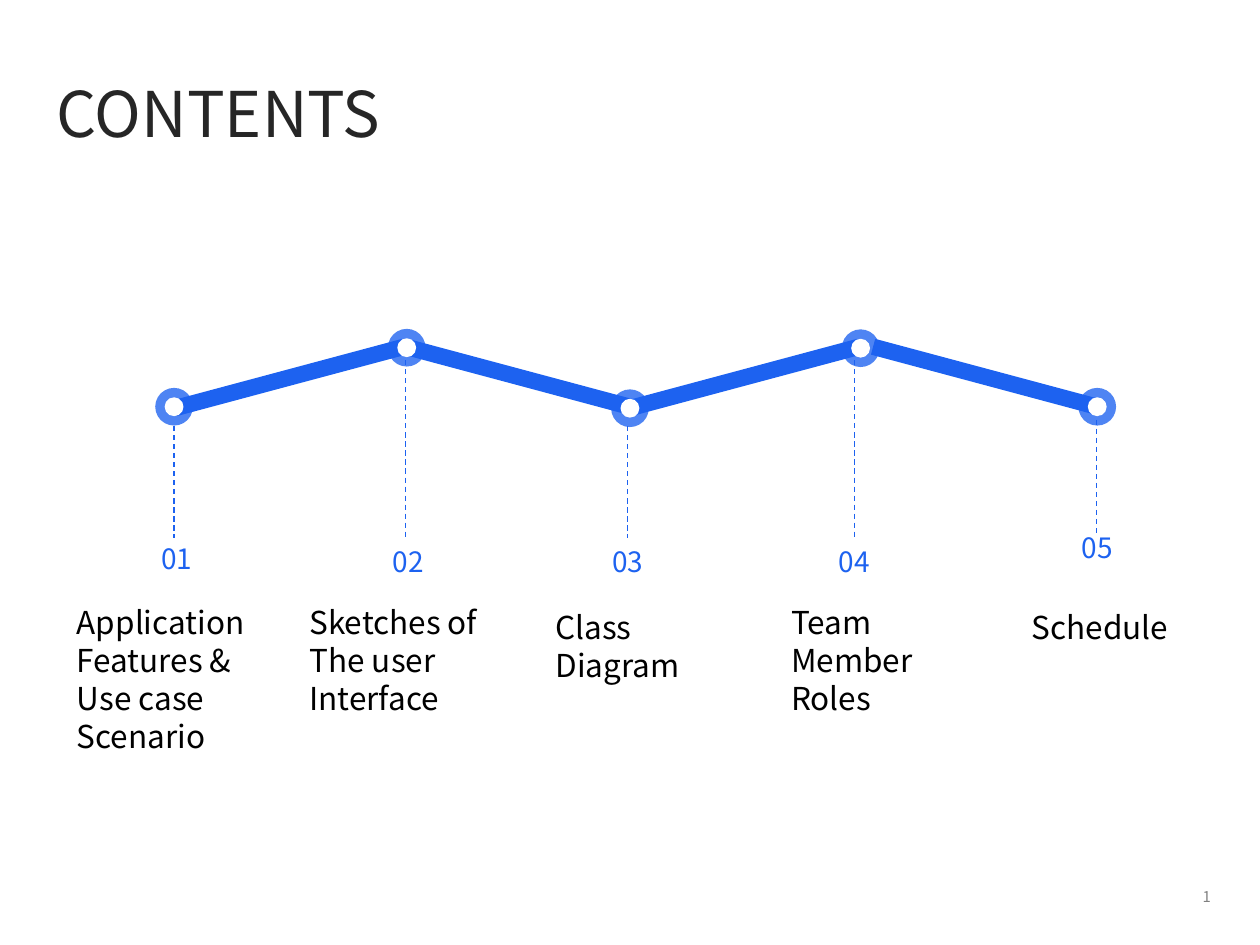
from pptx import Presentation
from pptx.dml.color import RGBColor
from pptx.enum.dml import MSO_LINE
from pptx.enum.shapes import MSO_CONNECTOR, MSO_SHAPE
from pptx.enum.text import MSO_ANCHOR, MSO_AUTO_SIZE, PP_ALIGN
from pptx.oxml.ns import qn
from pptx.util import Cm, Pt
from lxml import etree

RECT, OVAL = MSO_SHAPE.RECTANGLE, MSO_SHAPE.OVAL
STRAIGHT, DASH = MSO_CONNECTOR.STRAIGHT, MSO_LINE.DASH
TOP, MIDDLE = MSO_ANCHOR.TOP, MSO_ANCHOR.MIDDLE
LEFT, RIGHT = PP_ALIGN.LEFT, PP_ALIGN.RIGHT
NO_FIT = MSO_AUTO_SIZE.NONE

FONT = "Noto Sans CJK KR"
COLORS = {
    "blue": "1D62F0",
    "white": "FFFFFF",
    "title": "262626",
    "label": "000000",
    "page": "808080",
}
LINE_HEIGHT = 1.2
BAR_W, BAR_H, BAR_Y, BAR_TILT = 4.78, 0.33, 7.61, 15
RING, DOT, RING_ALPHA = 0.76, 0.38, 78
BAR_CENTERS = [5.84, 10.49, 15.01, 19.91]
NODES = [(3.51, 8.2), (8.2, 7.01), (12.7, 8.23), (17.35, 7.02), (22.12, 8.2)]
STEMS = [
    (3.51, 8.59, 10.85),
    (8.18, 7.26, 10.85),
    (12.65, 8.59, 10.85),
    (17.22, 7.26, 10.85),
    (22.1, 8.46, 10.74),
]
NUMBERS = [(3, 10.8), (7.67, 10.85), (12.09, 10.85), (16.66, 10.85), (21.56, 10.57)]
LABELS = [
    ((1.3, 12.04, 4.19, 3.33), ["Application", "Features &", "Use case", "Scenario"]),
    ((5.99, 12.04, 5.21, 2.57), ["Sketches of", "The user Interface"]),
    ((10.95, 12.14, 3.5, 1.8), ["Class", "Diagram"]),
    ((15.7, 12.04, 3.76, 2.57), ["Team", "Member", "Roles"]),
    ((20.55, 12.14, 3.4, 1.02), ["Schedule"]),
]


def rgb(name):
    return RGBColor.from_string(COLORS[name])


def set_text(sp, lines, size, color, align=LEFT, anchor=TOP):
    tf = sp.text_frame
    frame_format = {"word_wrap": True, "auto_size": NO_FIT, "vertical_anchor": anchor}
    for name, value in frame_format.items():
        setattr(tf, name, value)
    paragraph_format = {
        "alignment": align,
        "line_spacing": Pt(size * LINE_HEIGHT),
        "space_before": Pt(0),
    }
    for i, line in enumerate(lines):
        p = tf.add_paragraph() if i else tf.paragraphs[0]
        for name, value in paragraph_format.items():
            setattr(p, name, value)
        r = p.add_run()
        r.text = line
        for name, value in {"name": FONT, "size": Pt(size)}.items():
            setattr(r.font, name, value)
        r.font.color.rgb = rgb(color)


def add_title(s, box, text):
    sp = s.shapes.title
    for name, value in zip(("left", "top", "width", "height"), box):
        setattr(sp, name, Cm(value))
    set_text(sp, [text], 36, "title")


def add_text(s, box, lines, size, color, **layout):
    sp = s.shapes.add_textbox(*map(Cm, box))
    set_text(sp, lines, size, color, **layout)


def add_centered(s, kind, center, size, color, rotation=0, alpha=None):
    (x, y), (w, h) = center, size
    sp = s.shapes.add_shape(kind, Cm(x - w / 2), Cm(y - h / 2), Cm(w), Cm(h))
    sp.rotation = rotation
    sp.shadow.inherit = False
    sp.fill.solid()
    sp.fill.fore_color.rgb = rgb(color)
    sp.line.fill.background()
    if alpha is not None:
        clr = sp.fill._xPr.find(qn("a:solidFill"))[0]
        etree.SubElement(clr, qn("a:alpha")).set("val", str(alpha * 1000))


def add_stem(s, x, top, bottom):
    line = s.shapes.add_connector(STRAIGHT, Cm(x), Cm(top), Cm(x), Cm(bottom))
    line.line.color.rgb = rgb("blue")
    for name, value in {"width": Pt(0.75), "dash_style": DASH}.items():
        setattr(line.line, name, value)
    etree.SubElement(line._element.spPr, qn("a:effectLst"))


def main():
    prs = Presentation()
    prs.slide_width, prs.slide_height = Cm(25.4), Cm(19.05)
    s = prs.slides.add_slide(prs.slide_layouts[5])
    add_title(s, (0.89, 1.37, 19.2, 1.8), "CONTENTS")
    for i, x in enumerate(BAR_CENTERS):
        tilt = BAR_TILT if i % 2 else 360 - BAR_TILT
        add_centered(s, RECT, (x, BAR_Y), (BAR_W, BAR_H), "blue", rotation=tilt)
    for stem in STEMS:
        add_stem(s, *stem)
    for node in NODES:
        add_centered(s, OVAL, node, (RING, RING), "blue", alpha=RING_ALPHA)
        add_centered(s, OVAL, node, (DOT, DOT), "white")
    for i, (x, y) in enumerate(NUMBERS, 1):
        add_text(s, (x, y, 2.5, 0.94), [f"{i:02d}"], 16, "blue")
    for box, lines in LABELS:
        add_text(s, box, lines, 18, "label")
    add_text(s, (19.3, 17.73, 5.36, 0.69), ["1"], 8.5, "page", align=RIGHT, anchor=MIDDLE)
    prs.save("out.pptx")


if __name__ == "__main__":
    main()
